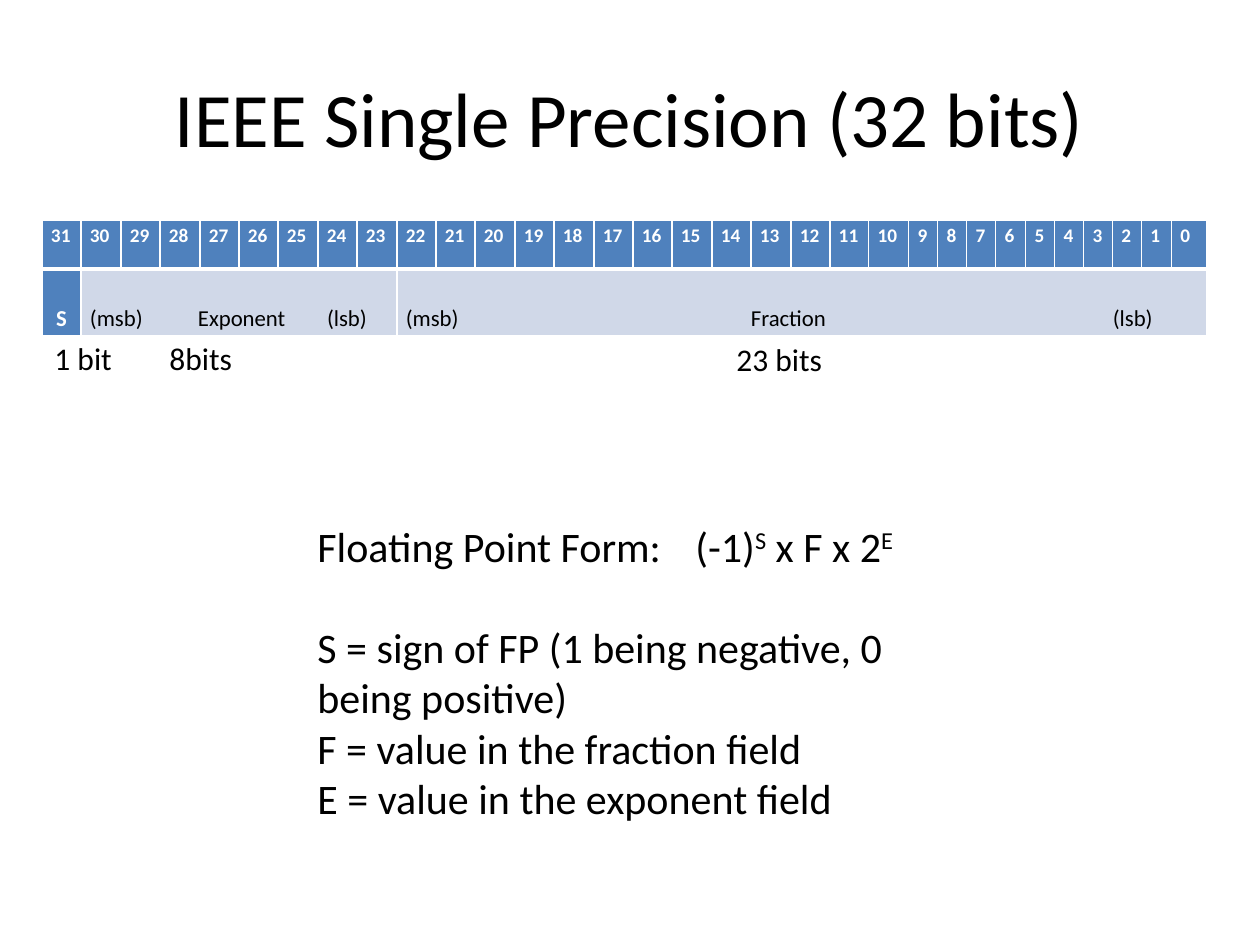
from itertools import accumulate, pairwise
from lxml.etree import SubElement
from pptx import Presentation
from pptx.dml.color import RGBColor
from pptx.enum.text import MSO_ANCHOR, PP_ALIGN
from pptx.oxml.ns import qn
from pptx.util import Pt

SCALE = 914400 // 126
BLACK = RGBColor(0, 0, 0)
WHITE = RGBColor(255, 255, 255)
BLUE = RGBColor(0x4F, 0x81, 0xBD)
PALE = RGBColor(0xD0, 0xD8, 0xE8)
BITS = 32
FIELDS = [
    (0, 0, ["S"], BLUE, WHITE, []),
    (1, 8, ["(msb)", "Exponent", "(lsb)"], PALE, BLACK, [108, 237]),
    (9, 31, ["(msb)", "Fraction", "(lsb)"], PALE, BLACK, [345, 707]),
]
LABELS = [("1 bit", 42, 333, 84), ("8bits", 157, 333, 95), ("23 bits", 724, 334, 126)]
FORM = [("Floating Point Form:\t(-1)", False), ("S", True), (" x F x 2", False), ("E", True)]
NOTES = [
    "S = sign of FP (1 being negative, 0 being positive)",
    "F = value in the fraction field",
    "E = value in the exponent field",
]


def px(size):
    return round(size) * SCALE


def style(para, size, color=BLACK, bold=False):
    for run in para.runs:
        font = run.font
        font.name, font.size, font.bold = "Calibri", Pt(size), bold
        font.color.rgb = color


def add_box(slide, left, top, width, height):
    box = slide.shapes.add_textbox(px(left), px(top), px(width), px(height))
    frame = box.text_frame
    frame.word_wrap = True
    return frame


def add_label(slide, text, left, top, width, height=50, size=18):
    frame = add_box(slide, left, top, width, height)
    frame.text = text
    style(frame.paragraphs[0], size)
    return frame


def add_tabs(para, stops):
    props = para._p.get_or_add_pPr()
    tabs = SubElement(props, qn("a:tabLst"))
    for stop in stops:
        SubElement(tabs, qn("a:tab"), pos=str(px(stop)), algn="l")


def add_edges(cell, top, bottom):
    props = cell._tc.get_or_add_tcPr()
    for side, width in zip("LRTB", (1, 1, top, bottom)):
        line = SubElement(props, qn(f"a:ln{side}"), w=str(Pt(width)))
        fill = SubElement(line, qn("a:solidFill"))
        SubElement(fill, qn("a:srgbClr"), val=str(WHITE))


def fill_cell(cell, text, size, fill, color, bold, edges):
    cell.margin_left = cell.margin_right = px(9)
    cell.margin_top = cell.margin_bottom = 0
    add_edges(cell, *edges)
    cell.fill.solid()
    cell.fill.fore_color.rgb = fill
    cell.text_frame.text = text
    para = cell.text_frame.paragraphs[0]
    para.line_spacing = 1.15
    style(para, size, color, bold)
    return para


def add_bits(slide):
    widths = [39.4] * 22 + [29.2] * 9 + [35]
    marks = [round(mark) for mark in accumulate(widths, initial=42)]
    frame = slide.shapes.add_table(2, BITS, px(42), px(220), px(marks[-1] - 42), px(116))
    table = frame.table
    table.first_row = table.horz_banding = False
    for row, height in zip(table.rows, (49, 67)):
        row.height = px(height)
    for col, (left, right) in enumerate(pairwise(marks)):
        table.columns[col].width = px(right - left)
        fill_cell(table.cell(0, col), str(BITS - 1 - col), 11, BLUE, WHITE, True, (1, 3))
    for first, last, words, fill, color, stops in FIELDS:
        cell = table.cell(1, first)
        if last > first:
            cell.merge(table.cell(1, last))
        para = fill_cell(cell, "\t".join(words), 13, fill, color, not stops, (3, 1))
        cell.vertical_anchor = MSO_ANCHOR.BOTTOM
        cell.margin_bottom = px(3)
        if stops:
            add_tabs(para, stops)
        else:
            para.alignment = PP_ALIGN.CENTER


def add_form(slide):
    frame = add_box(slide, 305, 514, 678, 318)
    frame.paragraphs[0].font.size = Pt(24)
    for text, raised in FORM:
        run = frame.paragraphs[0].add_run()
        run.text = text
        if raised:
            run._r.get_or_add_rPr().set("baseline", "30000")
    for note in NOTES:
        frame.add_paragraph().text = note
    frame.paragraphs[1].space_before = Pt(29)
    for para in frame.paragraphs:
        style(para, 24)


def main():
    deck = Presentation()
    deck.slide_width, deck.slide_height = px(1260), px(945)
    slide = deck.slides.add_slide(deck.slide_layouts[6])
    title = add_label(slide, "IEEE Single Precision (32 bits)", 63, 38, 1134, 157, 44)
    title.vertical_anchor = MSO_ANCHOR.MIDDLE
    title.paragraphs[0].alignment = PP_ALIGN.CENTER
    add_bits(slide)
    for label in LABELS:
        add_label(slide, *label)
    add_form(slide)
    deck.save("out.pptx")


main()
